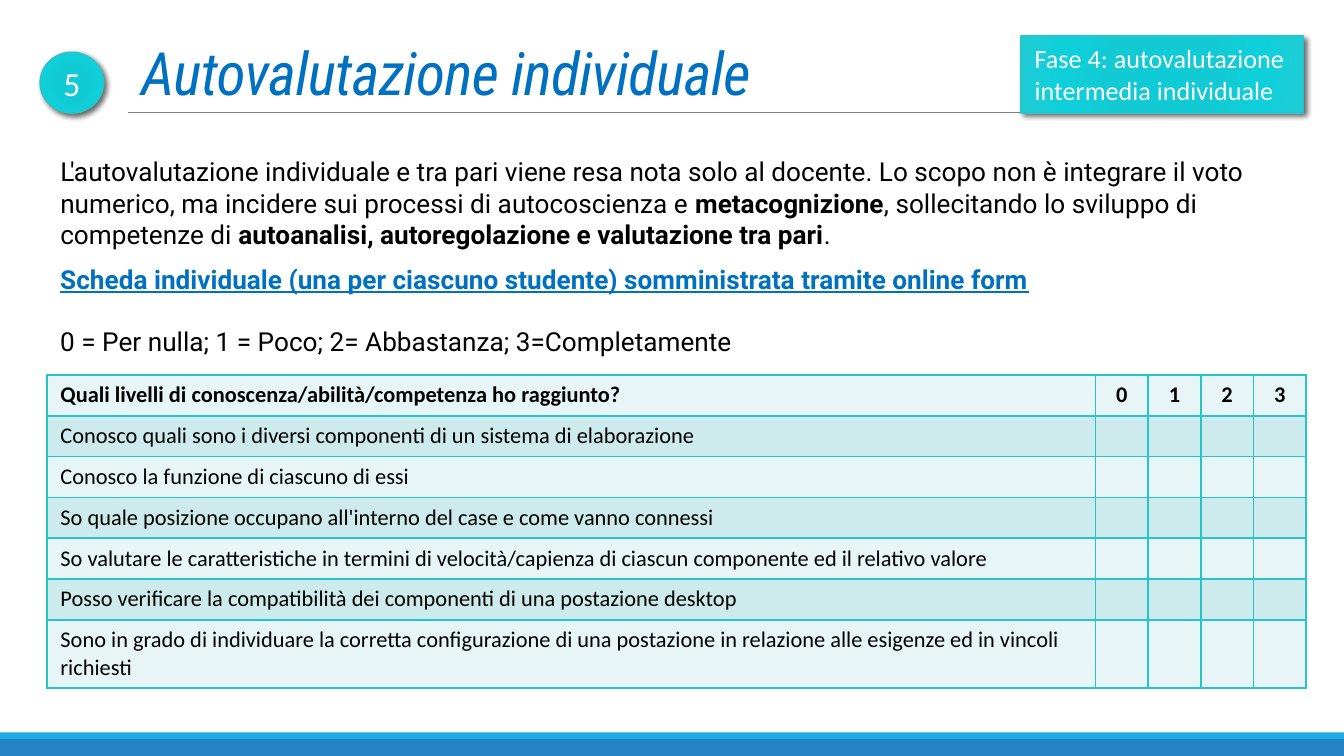
from dataclasses import dataclass
from typing import NamedTuple

from lxml.etree import SubElement
from pptx import Presentation
from pptx.dml.color import RGBColor
from pptx.enum.shapes import MSO_CONNECTOR, MSO_SHAPE
from pptx.enum.text import MSO_ANCHOR, MSO_AUTO_SIZE, PP_ALIGN
from pptx.oxml import parse_xml
from pptx.oxml.ns import nsdecls, qn
from pptx.util import Inches, Pt


@dataclass(frozen=True)
class Theme:
    """Colours, fonts and type sizes of the slide."""
    blue: str = "0070C0"
    black: str = "000000"
    white: str = "FFFFFF"
    gray: str = "808080"
    teal: str = "28C4CC"
    footer_dark: str = "2683C6"
    footer_light: str = "1CADE4"
    bands: tuple = ("E8F5F6", "CDEAEC")
    gradient: tuple = ((0, "0ECBD5"), (34, "12CAD3"), (70, "0FD0DA"), (100, "20CBD4"))
    title_font: str = "Roboto Condensed"
    body_font: str = "Roboto"
    table_font: str = "Calibri"
    title_size: int = 32
    badge_size: int = 18
    body_size: int = 14
    table_size: int = 12


class Box(NamedTuple):
    """A region in inches."""
    left: float
    top: float
    width: float
    height: float

    def lengths(self):
        """Return the four sides as lengths."""
        return [Inches(value) for value in self]


THEME = Theme()
QUESTIONS = [
    "Quali livelli di conoscenza/abilità/competenza ho raggiunto?",
    "Conosco quali sono i diversi componenti di un sistema di elaborazione",
    "Conosco la funzione di ciascuno di essi",
    "So quale posizione occupano all'interno del case e come vanno connessi",
    "So valutare le caratteristiche in termini di velocità/capienza di ciascun componente ed il relativo valore",
    "Posso verificare la compatibilità dei componenti di una postazione desktop",
    "Sono in grado di individuare la corretta configurazione di una postazione in relazione alle esigenze "
    "ed in vincoli richiesti",
]
LEVELS = ["0", "1", "2", "3"]
INTRODUCTION = [
    ("L'autovalutazione individuale e tra pari viene resa nota solo al docente. Lo scopo non è integrare "
     "il voto numerico, ma incidere sui processi di autocoscienza e ", False),
    ("metacognizione", True),
    (", sollecitando lo sviluppo di competenze di ", False),
    ("autoanalisi, autoregolazione e valutazione tra pari", True),
    (".", False),
]


def style_span(span, font, size, color, bold=False):
    """Set the typeface, size, colour and weight of a run."""
    span.font.name = font
    span.font.size = Pt(size)
    span.font.bold = bold
    span.font.color.rgb = RGBColor.from_string(color)


def add_text_box(page, box):
    """Add a wrapping text box and return its frame."""
    frame = page.shapes.add_textbox(*box.lengths()).text_frame
    frame.word_wrap = True
    return frame


def add_glossy_shape(page, box, kind, text, size, anchor, alignment):
    """Add a teal gradient shape with a soft shadow and a label."""
    shape = page.shapes.add_shape(kind, *box.lengths())
    shape.line.color.rgb = RGBColor.from_string(THEME.teal)
    shape.line.width = Pt(1)
    shape.shadow.inherit = False
    stops = "".join(f'<a:gs pos="{position * 1000}"><a:srgbClr val="{color}"/></a:gs>'
                    for position, color in THEME.gradient)
    properties = shape.element.spPr
    properties.insert(2, parse_xml(
        f'<a:gradFill {nsdecls("a")}><a:gsLst>{stops}</a:gsLst><a:path path="circle">'
        '<a:fillToRect l="100000" t="100000" r="100000" b="100000"/></a:path></a:gradFill>'))
    properties.find(qn("a:effectLst")).append(parse_xml(
        f'<a:outerShdw {nsdecls("a")} blurRad="{Pt(3)}" dist="{Pt(2)}" dir="2700000">'
        f'<a:srgbClr val="{THEME.black}"><a:alpha val="60000"/></a:srgbClr></a:outerShdw>'))
    frame = shape.text_frame
    frame.word_wrap = True
    frame.vertical_anchor = anchor
    frame.text = text
    para = frame.paragraphs[0]
    para.alignment = alignment
    style_span(para.runs[0], THEME.table_font, size, THEME.white)


def add_footer(page, box):
    """Draw the two coloured bands at the foot of the slide."""
    light = 0.05
    bands = [(light, box.height - light, THEME.footer_dark), (0, light, THEME.footer_light)]
    for offset, height, color in bands:
        area = Box(box.left, box.top + offset, box.width, height)
        band = page.shapes.add_shape(MSO_SHAPE.RECTANGLE, *area.lengths())
        band.fill.solid()
        band.fill.fore_color.rgb = RGBColor.from_string(color)
        band.line.fill.background()
        band.shadow.inherit = False


def add_header(page, box):
    """Place the title, its rule, the number badge and the phase label."""
    title = page.shapes.title
    title.left, title.top, title.width, title.height = Box(box.left + 0.65, box.top - 0.03, 8.18, 0.61).lengths()
    frame = title.text_frame
    frame.auto_size = MSO_AUTO_SIZE.NONE
    frame.vertical_anchor = MSO_ANCHOR.BOTTOM
    frame.text = "Autovalutazione individuale"
    para = frame.paragraphs[0]
    para.alignment = PP_ALIGN.LEFT
    para.line_spacing = 0.85
    span = para.runs[0]
    style_span(span, THEME.title_font, THEME.title_size, THEME.blue)
    span.font.italic = True
    span.font._element.set("spc", "-40")

    bottom = Inches(box.top + box.height)
    rule = page.shapes.add_connector(
        MSO_CONNECTOR.STRAIGHT, title.left, bottom, title.left + title.width, bottom)
    rule.line.color.rgb = RGBColor.from_string(THEME.gray)
    rule.line.width = Pt(0.5)
    SubElement(rule.element.spPr, qn("a:effectLst"))

    add_glossy_shape(page, Box(box.left + box.width - 2.1, box.top, 2.1, box.height), MSO_SHAPE.RECTANGLE,
                     "Fase 4: autovalutazione intermedia individuale", THEME.body_size,
                     MSO_ANCHOR.TOP, PP_ALIGN.LEFT)
    add_glossy_shape(page, Box(box.left, box.top + 0.12, 0.47, 0.45), MSO_SHAPE.OVAL,
                     "5", THEME.badge_size, MSO_ANCHOR.MIDDLE, PP_ALIGN.CENTER)


def add_introduction(page, box):
    """Write the paragraph on the purpose of self-assessment."""
    para = add_text_box(page, box).paragraphs[0]
    for text, bold in INTRODUCTION:
        span = para.add_run()
        span.text = text
        style_span(span, THEME.body_font, THEME.body_size, THEME.black, bold)


def add_form_caption(page, box):
    """Write the form heading and the key to its scale."""
    frame = add_text_box(page, box)
    frame.text = ("Scheda individuale (una per ciascuno studente) somministrata tramite online form\n"
                  "0 = Per nulla; 1 = Poco; 2= Abbastanza; 3=Completamente")
    heading, scale = frame.paragraphs
    style_span(heading.runs[0], THEME.body_font, THEME.body_size, THEME.blue, True)
    heading.runs[0].font.underline = True
    scale.space_before = Pt(16.5)
    style_span(scale.runs[0], THEME.body_font, THEME.body_size, THEME.black)


def fill_cell(cell, text, color, bold, alignment):
    """Write one table cell with its fill and borders."""
    cell.fill.solid()
    cell.fill.fore_color.rgb = RGBColor.from_string(color)
    for index, side in enumerate(("lnL", "lnR", "lnT", "lnB")):
        cell._tc.get_or_add_tcPr().insert(index, parse_xml(
            f'<a:{side} {nsdecls("a")} w="{Pt(1)}"><a:solidFill><a:srgbClr val="{THEME.teal}"/>'
            f'</a:solidFill></a:{side}>'))
    para = cell.text_frame.paragraphs[0]
    para.alignment = alignment
    if text:
        para.text = text
        style_span(para.runs[0], THEME.table_font, THEME.table_size, THEME.black, bold)
    else:
        SubElement(para._p, qn("a:endParaRPr"), sz=str(THEME.table_size * 100))


def add_assessment_table(page, box):
    """Build the banded grid of questions and levels, whose rows grow to fit."""
    question_width = 7.8
    level_width = (box.width - question_width) / len(LEVELS)
    holder = page.shapes.add_table(len(QUESTIONS), len(LEVELS) + 1, *box.lengths())
    table = holder.table
    table.first_row = table.horz_banding = False
    for index, column in enumerate(table.columns):
        column.width = Inches(level_width if index else question_width)
    for index, (row, question) in enumerate(zip(table.rows, QUESTIONS)):
        row.height = Inches(0.2)
        texts = [question] + (LEVELS if index == 0 else [""] * len(LEVELS))
        for position, (cell, text) in enumerate(zip(row.cells, texts)):
            alignment = PP_ALIGN.CENTER if position else PP_ALIGN.LEFT
            fill_cell(cell, text, THEME.bands[index % 2], index == 0, alignment)
    holder.height = Inches(box.height)


def main():
    """Build the slide and save the deck."""
    deck = Presentation()
    deck.slide_width = Inches(10)
    deck.slide_height = deck.slide_width * 9 // 16
    page = deck.slides.add_slide(deck.slide_layouts[5])
    add_footer(page, Box(0, 5.45, 10, 0.18))
    add_header(page, Box(0.3, 0.27, 9.4, 0.57))
    add_assessment_table(page, Box(0.35, 2.79, 9.37, 2.3))
    add_form_caption(page, Box(0.35, 1.91, 9.37, 0.81))
    add_introduction(page, Box(0.35, 1.11, 9.29, 0.81))
    deck.save("out.pptx")


if __name__ == "__main__":
    main()
